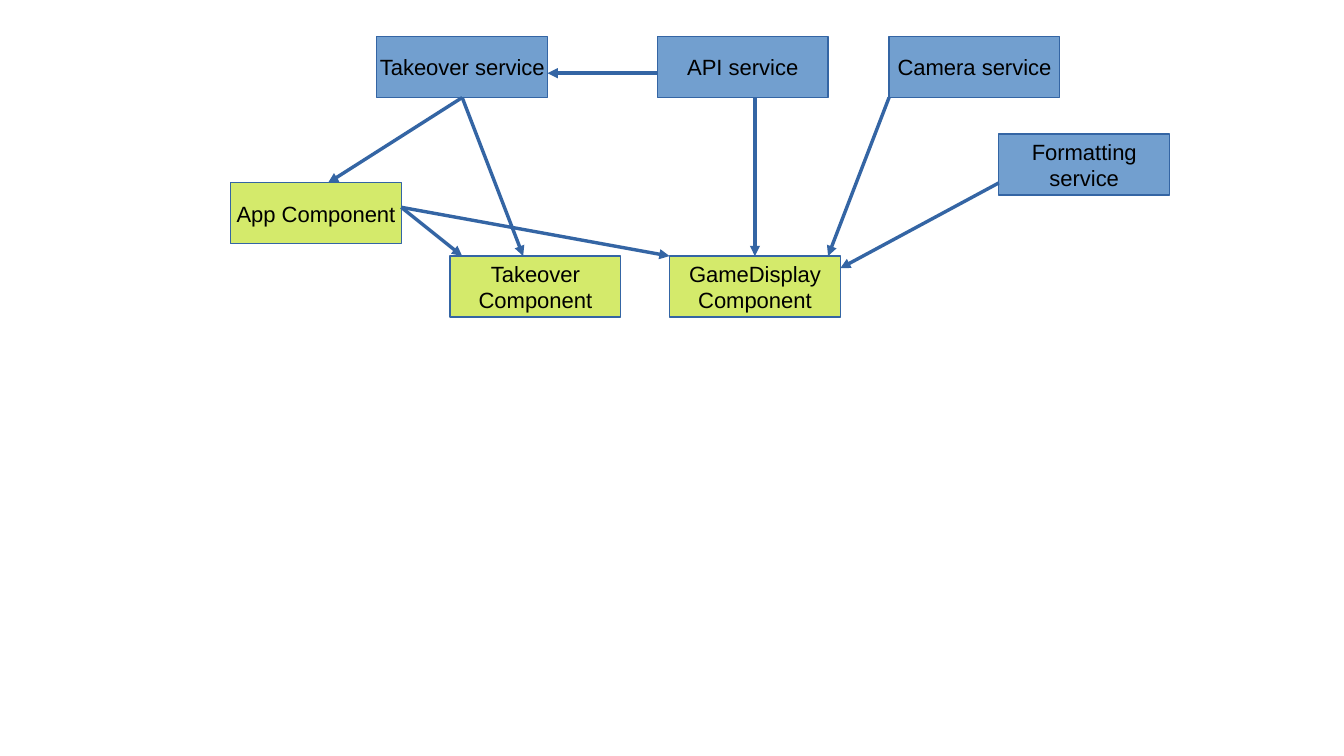
import pptx
import pptx.util
import pptx.dml.color
import pptx.enum.shapes
import pptx.enum.text
import pptx.oxml.ns
from lxml import etree

SERVICE_BLUE = pptx.dml.color.RGBColor(0x72, 0x9F, 0xCF)
COMPONENT_GREEN = pptx.dml.color.RGBColor(0xD4, 0xEA, 0x6B)
LINE_BLUE = pptx.dml.color.RGBColor(0x34, 0x65, 0xA4)
BLACK = pptx.dml.color.RGBColor(0, 0, 0)

# Grid: cells of 0.1 inch, columns shifted slightly left
CELL = 0.1
GRID_LEFT = -0.01
BOX_COLUMNS, BOX_ROWS = 14, 5


def column(number):
    return pptx.util.Inches(GRID_LEFT + number * CELL)


def row(number):
    return pptx.util.Inches(number * CELL)


deck = pptx.Presentation()
deck.slide_width = pptx.util.Inches(11.02)
deck.slide_height = pptx.util.Inches(6.2)
diagram = deck.slides.add_slide(deck.slide_layouts[6])

# Services and components: column, row, colour, lines of the label
nodes = [
    (31, 3, SERVICE_BLUE, ["Takeover service"]),
    (54, 3, SERVICE_BLUE, ["API service"]),
    (73, 3, SERVICE_BLUE, ["Camera service"]),
    (82, 11, SERVICE_BLUE, ["Formatting", "service"]),
    (19, 15, COMPONENT_GREEN, ["App Component"]),
    (37, 21, COMPONENT_GREEN, ["Takeover", "Component"]),
    (55, 21, COMPONENT_GREEN, ["GameDisplay", "Component"]),
]
for left, top, colour, label in nodes:
    node = diagram.shapes.add_shape(
        pptx.enum.shapes.MSO_SHAPE.RECTANGLE,
        column(left), row(top), row(BOX_COLUMNS), row(BOX_ROWS))
    node.shadow.inherit = False
    node.fill.solid()
    node.fill.fore_color.rgb = colour
    node.line.color.rgb = LINE_BLUE
    node.line.width = pptx.util.Pt(0.75)
    frame = node.text_frame
    frame.word_wrap = False
    frame.vertical_anchor = pptx.enum.text.MSO_ANCHOR.MIDDLE
    for index, words in enumerate(label):
        paragraph = frame.add_paragraph() if index else frame.paragraphs[0]
        paragraph.alignment = pptx.enum.text.PP_ALIGN.CENTER
        run = paragraph.add_run()
        run.text = words
        run.font.name = "Arial"
        run.font.size = pptx.util.Pt(13)
        run.font.color.rgb = BLACK

# Dependencies: column and row of the arrow tip, then of the plain end
dependencies = [
    (45, 6, 54, 6),
    (27, 15, 38, 8),
    (38, 21, 33, 17),
    (55, 21, 33, 17),
    (43, 21, 38, 8),
    (62, 21, 62, 8),
    (68, 21, 73, 8),
    (69, 22, 82, 15),
]
for tip_column, tip_row, end_column, end_row in dependencies:
    arrow = diagram.shapes.add_connector(
        pptx.enum.shapes.MSO_CONNECTOR.STRAIGHT,
        column(tip_column), row(tip_row), column(end_column), row(end_row))
    arrow.line.color.rgb = LINE_BLUE
    arrow.line.width = pptx.util.Pt(0)  # hairline
    properties = arrow._element.spPr
    outline = properties.find(pptx.oxml.ns.qn("a:ln"))
    etree.SubElement(outline, pptx.oxml.ns.qn("a:headEnd"), type="triangle")
    etree.SubElement(properties, pptx.oxml.ns.qn("a:effectLst"))

deck.save("out.pptx")
